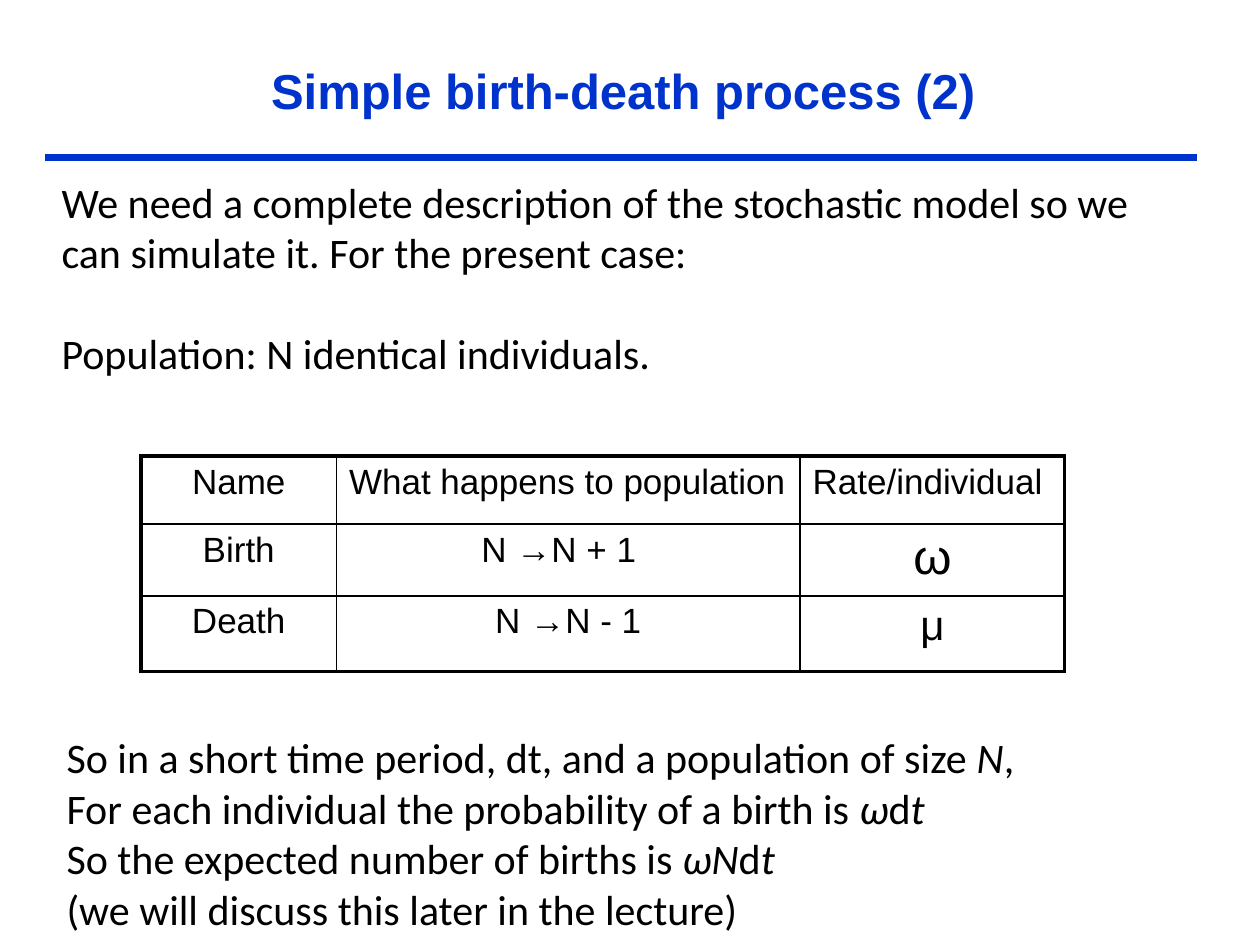
from lxml.etree import SubElement
from pptx import Presentation
from pptx.dml.color import RGBColor
from pptx.enum.shapes import MSO_CONNECTOR
from pptx.enum.text import MSO_ANCHOR, PP_ALIGN
from pptx.oxml.ns import qn
from pptx.util import Inches, Pt

THEME = {
    "blue": RGBColor(0x00, 0x33, 0xCC), "black": RGBColor(0, 0, 0),
    "heading_font": "Arial", "body_font": "Calibri",
    "title": 28, "body": 24, "cell": 20,
    "rule": 4.5, "outer_border": 2.25, "inner_border": 1,
}

# Content: a paragraph is a list of (text, italic) runs
TITLE = "Simple birth-death process (2) "
INTRO = [
    [("We need a complete description of the stochastic model so we", False)],
    [("can simulate it. For the present case:", False)],
    [("Population: N identical individuals.", False)],
]
EVENTS = [
    ["Name", "What happens to population", "Rate/individual"],
    ["Birth", "N →N + 1", "ω"],
    ["Death", "N →N - 1", "μ"],
]
COLUMN_WIDTHS = [1.55, 3.68, 2.1]
ROW_HEIGHTS = [0.54, 0.57, 0.6]
SYMBOL_SIZES = {"ω": 28, "μ": 24}
LEFT_ALIGNED = EVENTS[0][1:]
RIGHT_MARGINS = {"N →N + 1": 0.25}
CONCLUSION = [
    [("So in a short time period, dt, and a population of size ", False),
     ("N", True), (",", False)],
    [("For each individual the probability of a birth is ", False),
     ("ω", True), ("d", False), ("t", True)],
    [("So the expected number of births is ", False),
     ("ωN", True), ("d", False), ("t", True)],
    [("(we will discuss this later in the lecture)", False)],
]


def style(run, font, size, color, bold=False, italic=False):
    run.font.name, run.font.size = font, Pt(size)
    run.font.color.rgb = color
    run.font.bold, run.font.italic = bold, italic


def add_text(slide, box, paragraphs):
    frame = slide.shapes.add_textbox(*map(Inches, box)).text_frame
    frame.word_wrap = True
    for index, pieces in enumerate(paragraphs):
        paragraph = frame.add_paragraph() if index else frame.paragraphs[0]
        for words, italic in pieces:
            run = paragraph.add_run()
            run.text = words
            style(run, THEME["body_font"], THEME["body"], THEME["black"], italic=italic)
    return frame


def set_borders(cell, widths):
    properties = cell._tc.get_or_add_tcPr()
    for position, (side, width) in enumerate(widths.items()):
        line = properties.makeelement(qn(f"a:{side}"), {"w": str(Pt(width))})
        fill = SubElement(line, qn("a:solidFill"))
        SubElement(fill, qn("a:srgbClr"), val=str(THEME["black"]))
        properties.insert(position, line)


def add_events_table(slide):
    rows, columns = len(EVENTS), len(COLUMN_WIDTHS)
    table = slide.shapes.add_table(
        rows, columns, Inches(1.12), Inches(3.62),
        Inches(sum(COLUMN_WIDTHS)), Inches(sum(ROW_HEIGHTS))).table
    table.first_row = table.horz_banding = False
    for column, width in zip(table.columns, COLUMN_WIDTHS):
        column.width = Inches(width)
    for row, height in zip(table.rows, ROW_HEIGHTS):
        row.height = Inches(height)
    for r, entries in enumerate(EVENTS):
        for c, entry in enumerate(entries):
            cell = table.cell(r, c)
            cell.fill.background()
            cell.margin_right = Inches(RIGHT_MARGINS.get(entry, 0.1))
            cell.text_frame.text = entry
            paragraph = cell.text_frame.paragraphs[0]
            paragraph.alignment = PP_ALIGN.LEFT if entry in LEFT_ALIGNED else PP_ALIGN.CENTER
            style(paragraph.runs[0], THEME["heading_font"],
                  SYMBOL_SIZES.get(entry, THEME["cell"]), THEME["black"])
            on_edge = {"lnL": c == 0, "lnR": c == columns - 1,
                       "lnT": r == 0, "lnB": r == rows - 1}
            set_borders(cell, {side: THEME["outer_border" if outer else "inner_border"]
                               for side, outer in on_edge.items()})


def main():
    presentation = Presentation()
    presentation.slide_width, presentation.slide_height = Inches(10), Inches(7.5)
    slide = presentation.slides.add_slide(presentation.slide_layouts[6])

    # Rule under the title
    rule = slide.shapes.add_connector(
        MSO_CONNECTOR.STRAIGHT, Inches(0.36), Inches(1.25), Inches(9.5), Inches(1.25))
    rule.line.color.rgb, rule.line.width = THEME["blue"], Pt(THEME["rule"])
    SubElement(rule._element.spPr, qn("a:effectLst"))

    # Title
    heading = slide.shapes.add_textbox(
        Inches(0.5), Inches(0.3), Inches(9), Inches(0.83)).text_frame
    heading.word_wrap, heading.vertical_anchor = True, MSO_ANCHOR.MIDDLE
    heading.text = TITLE
    heading.paragraphs[0].alignment = PP_ALIGN.CENTER
    style(heading.paragraphs[0].runs[0], THEME["heading_font"], THEME["title"],
          THEME["blue"], bold=True)

    # Introduction, with one line of space above the population
    intro = add_text(slide, (0.39, 1.35, 8.83, 2.52), INTRO)
    intro.paragraphs[-1].space_before = Pt(29)

    # Events and conclusion
    add_events_table(slide)
    add_text(slide, (0.43, 5.76, 7.87, 1.72), CONCLUSION)

    presentation.save("out.pptx")


if __name__ == "__main__":
    main()
